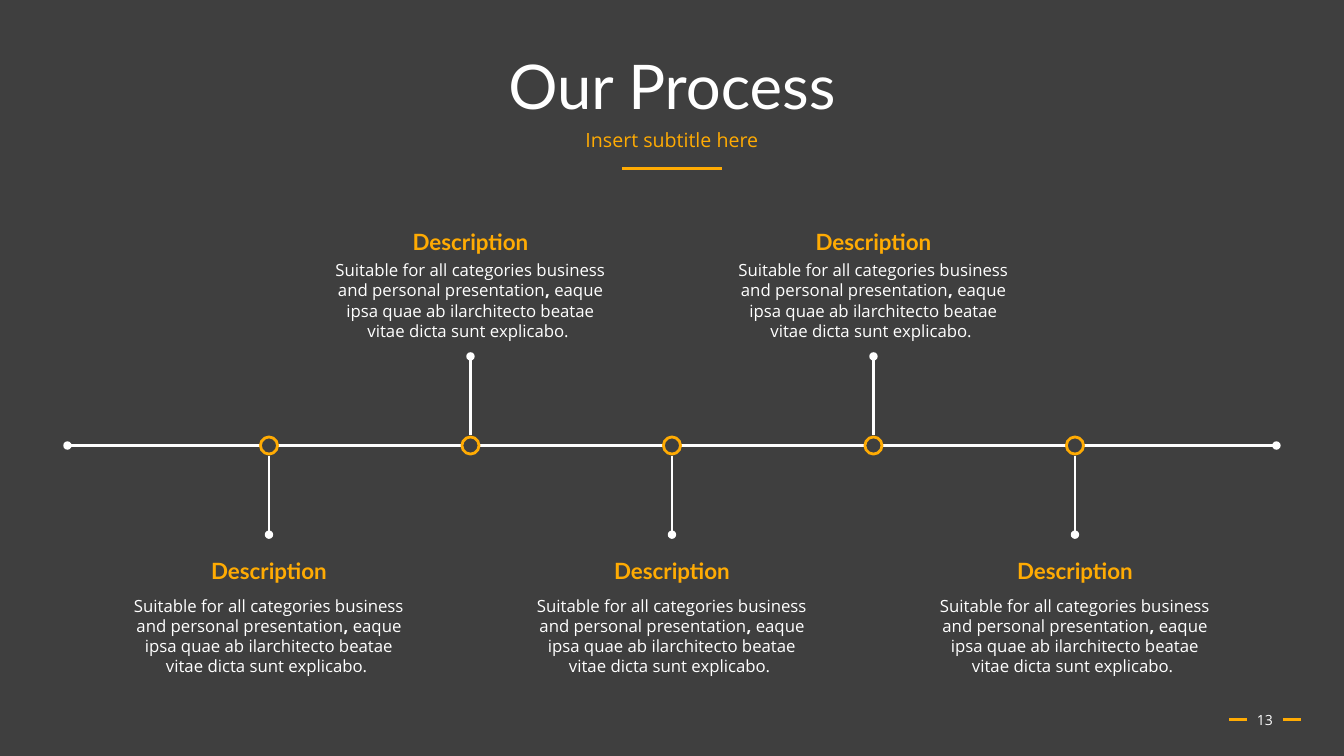
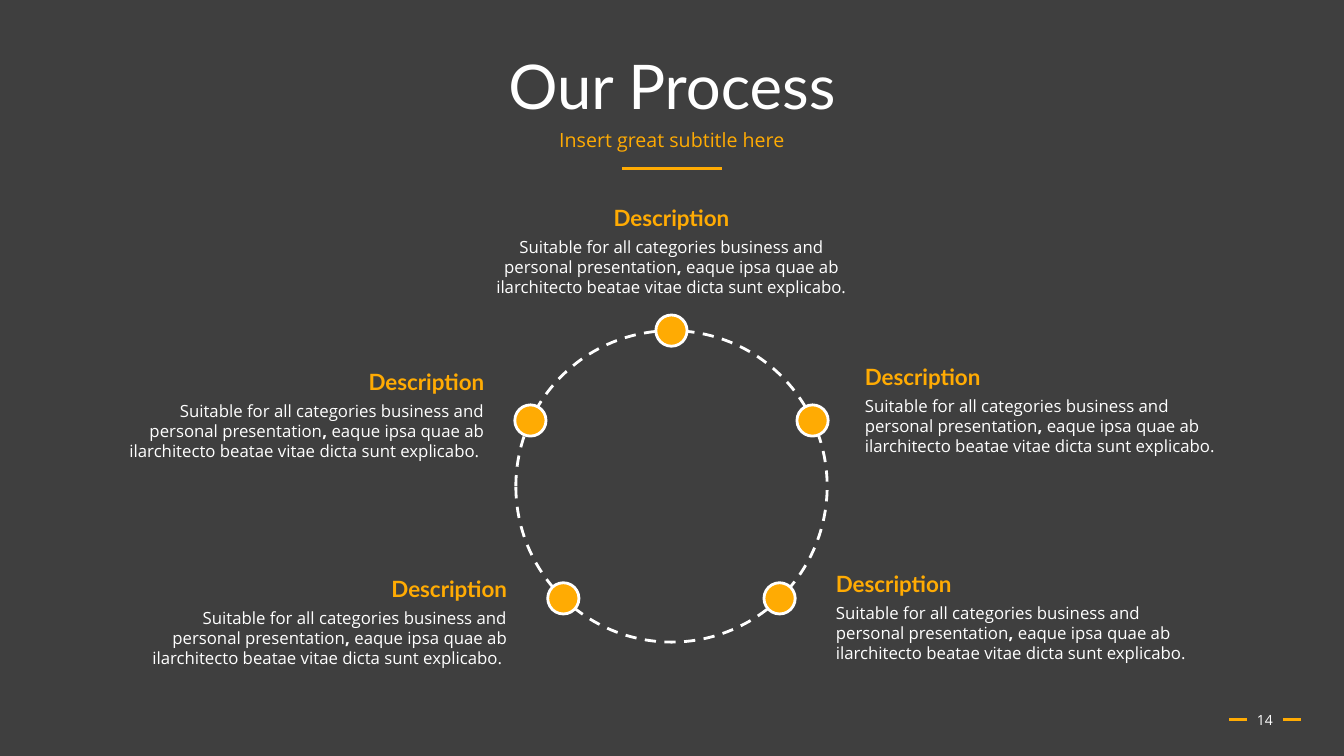
from dataclasses import dataclass
from math import cos, radians, sin

from lxml.etree import SubElement
from pptx import Presentation
from pptx.dml.color import RGBColor
from pptx.enum.dml import MSO_LINE_DASH_STYLE as Dash
from pptx.enum.shapes import MSO_CONNECTOR as Connector, MSO_SHAPE as Shape
from pptx.enum.text import MSO_ANCHOR as Anchor, PP_ALIGN as Align
from pptx.oxml.ns import qn
from pptx.util import Inches, Pt


@dataclass(frozen=True)
class Box:
    """A region in inches; points inside it are given as shares."""
    left: float
    top: float
    width: float
    height: float

    def x(self, share):
        return self.left + share * self.width

    def y(self, share):
        return self.top + share * self.height

    def inner(self, left, top, width, height):
        return Box(self.x(left), self.y(top), width * self.width, height * self.height)

    def emu(self):
        return [Inches(n) for n in (self.left, self.top, self.width, self.height)]


@dataclass(frozen=True)
class TextStyle:
    font: str
    size: float
    color: RGBColor
    bold: bool = False
    spacing: float = 1.0


class Theme:
    dark = RGBColor.from_string("3F3F3F")
    white = RGBColor.from_string("FFFFFF")
    accent = RGBColor.from_string("FFAB03")
    rule, stroke = 1.75, 2
    title = TextStyle("Lato", 44, white, spacing=0.9)
    subtitle = TextStyle("Open Sans", 14, accent, spacing=0.9)
    heading = TextStyle("Lato", 16, accent, bold=True)
    body = TextStyle("Open Sans", 12, white)
    comma = TextStyle("Open Sans", 12, white, bold=True)
    number = TextStyle("Open Sans", 10, white)


SLIDE = Box(0, 0, 13.34, 7.5)
DESCRIPTION = [
    ("Suitable for all categories business and personal presentation", Theme.body),
    (",", Theme.comma),
    (" eaque ipsa quae ab ilarchitecto beatae vitae dicta sunt explicabo. ", Theme.body),
]


# Drawing helpers
def add_text(slide, box, pieces, align=Align.CENTER, anchor=Anchor.TOP):
    frame = slide.shapes.add_textbox(*box.emu()).text_frame
    frame.word_wrap = True
    frame.vertical_anchor = anchor
    paragraph = frame.paragraphs[0]
    paragraph.alignment = align
    paragraph.line_spacing = pieces[0][1].spacing
    for words, style in pieces:
        run = paragraph.add_run()
        run.text = words
        run.font.color.rgb = style.color
        formats = {"name": style.font, "size": Pt(style.size), "bold": style.bold}
        for attribute, value in formats.items():
            setattr(run.font, attribute, value)


def add_line(slide, start, end, color=Theme.white, width=Theme.stroke, dots=()):
    line = slide.shapes.add_connector(
        Connector.STRAIGHT, *(Inches(n) for n in (*start, *end)))
    line.line.color.rgb = color
    line.line.width = Pt(width)
    properties = line._element.spPr
    for dot in dots:
        SubElement(properties.find(qn("a:ln")), qn(f"a:{dot}"), type="oval")
    SubElement(properties, qn("a:effectLst"))


def add_circle(slide, center, diameter, fill, outline, dash=None):
    x, y = center
    box = Box(x - diameter / 2, y - diameter / 2, diameter, diameter)
    circle = slide.shapes.add_shape(Shape.OVAL, *box.emu())
    circle.shadow.inherit = False
    if fill is None:
        circle.fill.background()
    else:
        circle.fill.solid()
        circle.fill.fore_color.rgb = fill
    circle.line.color.rgb = outline
    for attribute, value in {"width": Pt(Theme.stroke), "dash_style": dash}.items():
        setattr(circle.line, attribute, value)


def add_caption(slide, x, top, width, align=Align.CENTER, gap=0.32):
    """Heading over description, both aligned on x."""
    shift = {Align.LEFT: 0, Align.CENTER: 0.5, Align.RIGHT: 1}[align]
    rows = [(0, 2.28, 0.37, [("Description", Theme.heading)]),
            (gap, width, 0.9, DESCRIPTION)]
    for offset, row_width, height, pieces in rows:
        box = Box(x - shift * row_width, top + offset, row_width, height)
        add_text(slide, box, pieces, align)


# Regions
def add_header(slide, box, title, subtitle):
    add_text(slide, box.inner(0, 0, 1, 0.77), [(title, Theme.title)], anchor=Anchor.MIDDLE)
    add_text(slide, box.inner(0, 0.67, 1, 0.32), [(subtitle, Theme.subtitle)])
    rule_y = box.y(1)
    add_line(slide, (box.x(0.457), rule_y), (box.x(0.543), rule_y),
             Theme.accent, Theme.rule)


def add_footer(slide, box, number):
    for start in (0, 0.75):
        add_line(slide, (box.x(start), box.y(0.5)), (box.x(start + 0.25), box.y(0.5)),
                 Theme.accent, Theme.rule)
    add_text(slide, box.inner(0.09, 0, 0.82, 1), [(str(number), Theme.number)],
             anchor=Anchor.MIDDLE)


def add_timeline(slide, box, steps=5):
    axis_y = box.y(0.5)
    add_line(slide, (box.x(0), axis_y), (box.x(1), axis_y), dots=("headEnd", "tailEnd"))
    for step in range(steps):
        x = box.x((step + 1) / (steps + 1))
        add_circle(slide, (x, axis_y), 0.17, Theme.dark, Theme.accent)
        if step % 2:
            add_line(slide, (x, box.y(0.3)), (x, axis_y - 0.1), dots=["headEnd"])
            add_caption(slide, x, box.y(0), 2.92)
        else:
            add_line(slide, (x, axis_y + 0.1), (x, box.y(0.7)), dots=["tailEnd"])
            add_caption(slide, x, box.y(0.74), 2.92, gap=0.38)


def add_cycle(slide, box):
    center_x, center_y, radius = box.x(0.5), box.y(0.5), box.width / 2
    add_circle(slide, (center_x, center_y), box.width, None, Theme.white, Dash.DASH)
    # Angle on the ring, caption offset from its node, caption width, alignment
    stages = [
        (90, 0, -1.3, 3.68, Align.CENTER),
        (25, 0.42, -0.62, 3.78, Align.LEFT),
        (-46, 0.46, -0.33, 3.78, Align.LEFT),
        (155, -0.36, -0.57, 3.81, Align.RIGHT),
        (226, -0.46, -0.28, 3.81, Align.RIGHT),
    ]
    for angle, dx, dy, width, align in stages:
        x = center_x + radius * cos(radians(angle))
        y = center_y - radius * sin(radians(angle))
        add_circle(slide, (x, y), 0.31, Theme.accent, Theme.white)
        add_caption(slide, x + dx, y + dy, width, align)


def main():
    deck = Presentation()
    deck.slide_width, deck.slide_height = Inches(SLIDE.width), Inches(SLIDE.height)
    backdrop = deck.slide_master.background.fill
    backdrop.solid()
    backdrop.fore_color.rgb = Theme.dark

    pages = [
        (13, "Insert subtitle here", add_timeline, Box(0.67, 2.21, 12, 4.42)),
        (14, "Insert great subtitle here", add_cycle, Box(5.12, 3.28, 3.09, 3.09)),
    ]
    for number, subtitle, add_diagram, box in pages:
        slide = deck.slides.add_slide(deck.slide_layouts[6])
        for placeholder in list(slide.placeholders):
            placeholder._element.getparent().remove(placeholder._element)
        add_header(slide, Box(0.92, 0.4, 11.5, 1.27), "Our Process", subtitle)
        add_footer(slide, Box(12.2, 6.94, 0.71, 0.4), number)
        add_diagram(slide, box)
    deck.save("out.pptx")


if __name__ == "__main__":
    main()
